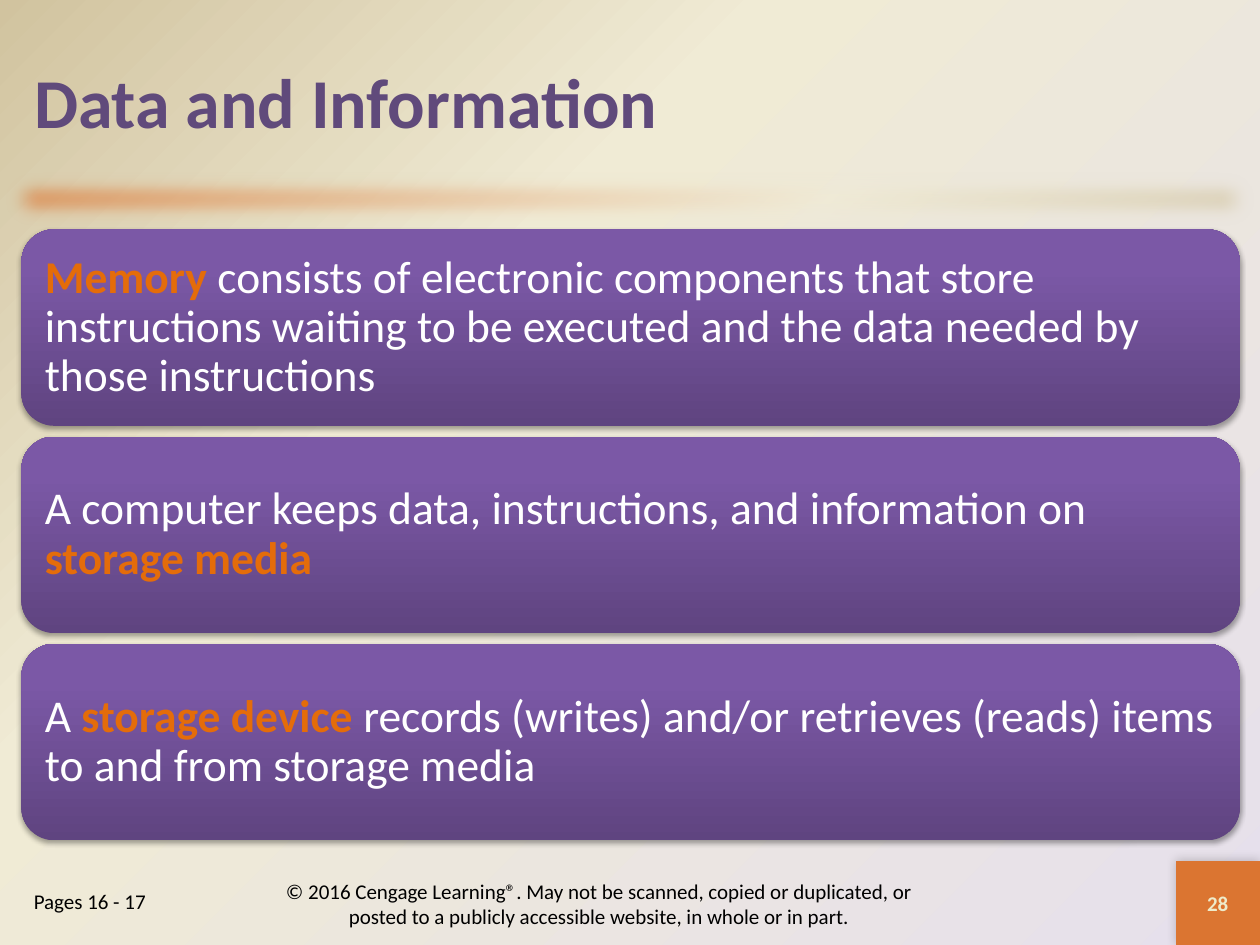
import pptx
import pptx.util
import pptx.dml.color
import pptx.enum.shapes
import pptx.enum.text
import pptx.oxml
import pptx.oxml.ns

Inches = pptx.util.Inches
Shape = pptx.enum.shapes.MSO_SHAPE
Align = pptx.enum.text.PP_ALIGN
Anchor = pptx.enum.text.MSO_ANCHOR
qn = pptx.oxml.ns.qn
NS = pptx.oxml.ns.nsdecls("a")


def write(shape, text, size=12, color="000000", bold=False, align=Align.LEFT,
          anchor=Anchor.MIDDLE, inset=None, line=None, accent="E46C0A"):
    """Fill a shape with text; parts between asterisks are bold accents."""
    frame = shape.text_frame
    frame.word_wrap = True
    frame.auto_size = pptx.enum.text.MSO_AUTO_SIZE.NONE
    frame.vertical_anchor = anchor
    if inset is not None:
        frame.margin_left = frame.margin_right = Inches(inset)
        frame.margin_top = frame.margin_bottom = Inches(inset)
    para = frame.paragraphs[0]
    para.alignment = align
    if line:
        para.line_spacing = line
    for i, part in enumerate(text.split("*")):
        if not part:
            continue
        run = para.add_run()
        run.text = part
        font = run.font
        font.name, font.size = "Calibri", pptx.util.Pt(size)
        font.bold = bold or i % 2 == 1
        tint = accent if i % 2 else color
        font.color.rgb = pptx.dml.color.RGBColor.from_string(tint)


def paint(props, stops, way, effect=""):
    """Swap the empty fill for a gradient and add an effect."""
    marks = "".join(f'<a:gs pos="{pos * 1000}"><a:srgbClr val="{color}"/></a:gs>'
                    for pos, color in stops)
    fill = pptx.oxml.parse_xml(
        f'<a:gradFill {NS} rotWithShape="1"><a:gsLst>{marks}</a:gsLst>{way}</a:gradFill>')
    props.replace(props.find(qn("a:noFill")), fill)
    if effect:
        old = props.find(qn("a:effectLst"))
        props.replace(old, pptx.oxml.parse_xml(
            f"<a:effectLst {NS}>{effect}</a:effectLst>"))


deck = pptx.Presentation()
deck.slide_width, deck.slide_height = Inches(10), Inches(7.5)
slide = deck.slides.add_slide(deck.slide_layouts[5])
shapes = slide.shapes

# Background
slide.background.fill.background()
paint(slide.element.find(".//" + qn("p:bgPr")),
      [(0, "E6E0EC"), (65, "F0EBD5"), (100, "D1C39F")],
      '<a:path path="circle"><a:fillToRect l="100000" t="100000"/></a:path>')

# Title
title = shapes.title
title.left, title.top = Inches(0.17), Inches(0.17)
title.width, title.height = Inches(9.67), Inches(1.25)
write(title, "Data and Information", size=40, color="604A7B", bold=True)

# Soft bar, page number square and cards
SHADE = ('<a:outerShdw blurRad="{}" dist="{}" dir="{}" rotWithShape="0">'
         '<a:srgbClr val="000000"><a:alpha val="{}"/></a:srgbClr></a:outerShdw>')
bar = [(0, "DB7531"), (65, "F0EBD5"), (100, "D1C39F")]
flat = [(0, "DB7531"), (100, "DB7531")]
violet = [(0, "5F4480"), (80, "7B58A6"), (100, "7C57A8")]
drop = SHADE.format(40000, 23000, 5400000, 35000)
cards = [
    "*Memory* consists of electronic components that store instructions waiting "
    "to be executed and the data needed by those instructions",
    "A computer keeps data, instructions, and information on *storage media*",
    "A *storage device *records (writes) and/or retrieves (reads) items "
    "to and from storage media",
]
look = dict(size=26, color="FFFFFF", inset=0.11, line=0.9)
parts = [
    (Shape.RECTANGLE, (0, 1.33, 10, 0.5), bar, 45,
     '<a:softEdge rad="158750"/>', "", {}),
    (Shape.RECTANGLE, (9.33, 6.83, 0.67, 0.67), flat, 0,
     SHADE.format(76200, 0, 13500000, 20000), "28",
     dict(color="EEEBCA", bold=True, align=Align.CENTER)),
]
for i, text in enumerate(cards):
    box = (0.17, 1.82 + i * 1.645, 9.67, 1.56)
    parts.append((Shape.ROUNDED_RECTANGLE, box, violet, 270, drop, text, look))

for kind, box, stops, angle, effect, text, form in parts:
    shape = shapes.add_shape(kind, *map(Inches, box))
    shape.fill.background()
    shape.line.fill.background()
    shape.shadow.inherit = False
    paint(shape.element.spPr, stops,
          f'<a:lin ang="{angle * 60000}" scaled="0"/>', effect)
    if text:
        write(shape, text, **form)

# Footer
pages = shapes.add_textbox(Inches(0.17), Inches(7), Inches(1.83), Inches(0.5))
write(pages, "Pages 16 - 17", anchor=Anchor.TOP)
notice = shapes.add_textbox(Inches(2.17), Inches(6.97), Inches(5.17), Inches(0.4))
write(notice, "© 2016 Cengage Learning®. May not be scanned, copied or duplicated, "
      "or posted to a publicly accessible website, in whole or in part.",
      align=Align.CENTER)

deck.save("out.pptx")
